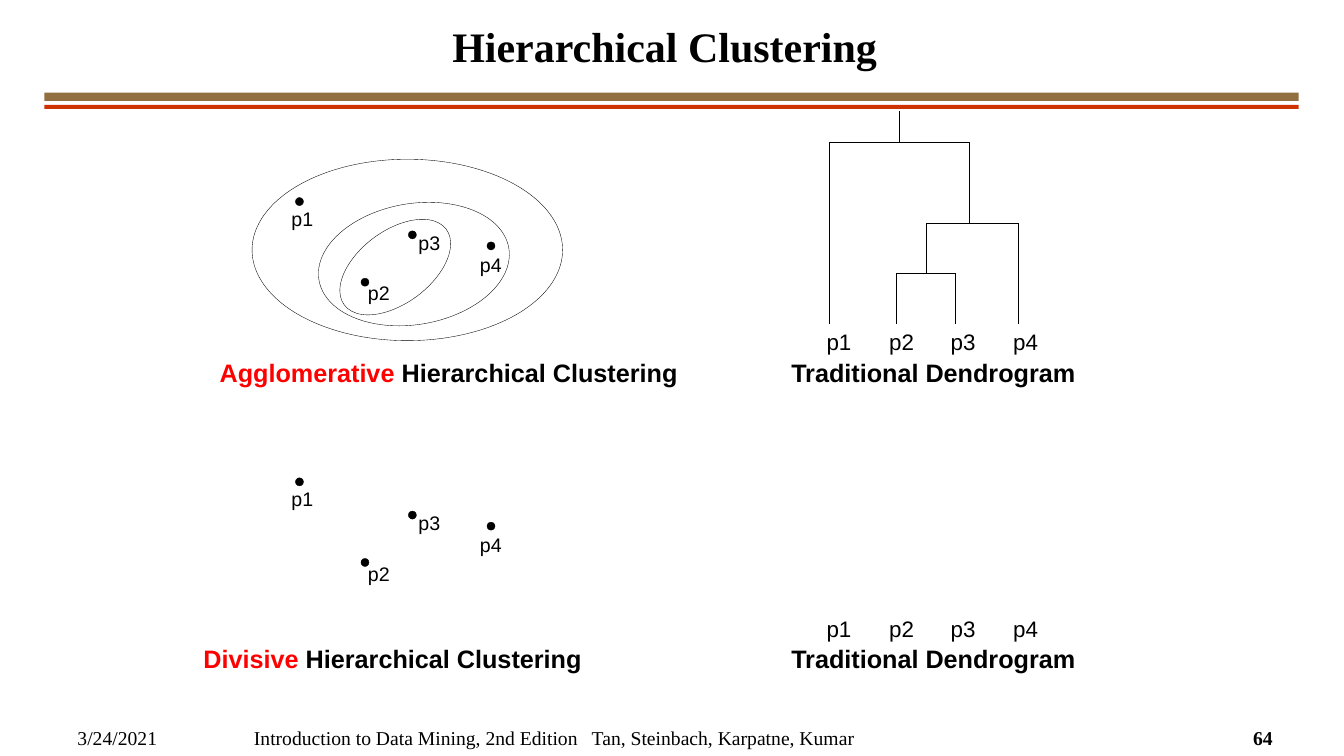
from pptx import Presentation
from pptx.dml.color import RGBColor
from pptx.enum.shapes import MSO_CONNECTOR, MSO_SHAPE
from pptx.enum.text import MSO_ANCHOR, PP_ALIGN
from pptx.oxml.ns import qn
from pptx.util import Pt
from lxml import etree

PIXEL = 9144
STRAIGHT = MSO_CONNECTOR.STRAIGHT
RECTANGLE, OVAL = MSO_SHAPE.RECTANGLE, MSO_SHAPE.OVAL
TOP, BOTTOM = MSO_ANCHOR.TOP, MSO_ANCHOR.BOTTOM
LEFT, CENTER = PP_ALIGN.LEFT, PP_ALIGN.CENTER
SANS, SERIF = "Arial", "Times New Roman"
BLACK, RED, BROWN, RUST = "000000", "FF0000", "916F40", "CC3300"


def px(*lengths):
    return [length * PIXEL for length in lengths]


def color(value):
    return RGBColor.from_string(value)


class SlideBuilder:
    """Holds the slide and its style, and adds each kind of element."""

    def __init__(self, page):
        self.page = page
        self.hairline = Pt(0.25)

    def shape(self, kind, area, fill=None, line=None, rotation=0):
        shape = self.page.shapes.add_shape(kind, *px(*area))
        shape.shadow.inherit = False
        shape.rotation = rotation
        if fill:
            shape.fill.solid()
            shape.fill.fore_color.rgb = color(fill)
        else:
            shape.fill.background()
        if line:
            shape.line.color.rgb = color(line)
            shape.line.width = self.hairline
        else:
            shape.line.fill.background()

    def line(self, start, end):
        line = self.page.shapes.add_connector(STRAIGHT, *px(*start, *end))
        line.line.color.rgb = color(BLACK)
        line.line.width = self.hairline
        properties = line._element.find(qn("p:spPr"))
        etree.SubElement(properties, qn("a:effectLst"))

    def text(self, area, spans, size, font=SANS, bold=False, align=LEFT,
             anchor=TOP, inset=True, tabs=(), spacing=None):
        box = self.page.shapes.add_textbox(*px(*area))
        frame = box.text_frame
        frame.word_wrap = True
        frame.vertical_anchor = anchor
        if not inset:
            frame.margin_left = frame.margin_right = 0
            frame.margin_top = frame.margin_bottom = 0
        para = frame.paragraphs[0]
        para.alignment = align
        if spacing:
            para.line_spacing = Pt(spacing)
        if tabs:
            stops = etree.SubElement(para._p.get_or_add_pPr(), qn("a:tabLst"))
            for position in px(*tabs):
                etree.SubElement(stops, qn("a:tab"), pos=str(position), algn="l")
        para.font.name = font
        para.font.size = Pt(size)
        para.font.bold = bold
        for words, ink in spans:
            span = para.add_run()
            span.text = words
            span.font.color.rgb = color(ink)

    def points(self, offset):
        points = {
            "p1": ((293, 196), (289, 205)),
            "p2": ((358, 276), (365, 279)),
            "p3": ((405, 229), (415, 229)),
            "p4": ((483, 240), (476, 251)),
        }
        for name, ((dot_x, dot_y), (label_x, label_y)) in points.items():
            self.shape(OVAL, (dot_x, dot_y + offset, 8, 8), BLACK, BLACK)
            self.text((label_x, label_y + offset, 26, 24), [(name, BLACK)], 14,
                      inset=False)

    def clustering(self, kind, left, caption_top, points_offset, leaves_top):
        self.points(points_offset)
        self.text((810, leaves_top, 233, 37), [("p1\tp2\tp3\tp4", BLACK)], 16,
                  tabs=(62, 123, 185))
        self.text((left, caption_top, 483, 40),
                  [(kind, RED), (" Hierarchical Clustering", BLACK)], 18, bold=True)
        self.text((775, caption_top, 367, 40),
                  [("Traditional Dendrogram", BLACK)], 18, bold=True)

    def merge(self, left, right, bar, left_bottom, right_bottom):
        self.line((left, bar), (right, bar))
        self.line((left, bar), (left, left_bottom))
        self.line((right, bar), (right, right_bottom))


def main():
    deck = Presentation()
    deck.slide_width, deck.slide_height = px(1333, 750)
    slide = SlideBuilder(deck.slides.add_slide(deck.slide_layouts[6]))

    slide.shape(RECTANGLE, (44, 92, 1244, 8), BROWN)
    slide.shape(RECTANGLE, (44, 104, 1244, 4), RUST)
    slide.text((56, 17, 1207, 58), [("Hierarchical Clustering", BLACK)], 30, SERIF,
               bold=True, align=CENTER, anchor=BOTTOM, spacing=36)

    slide.shape(OVAL, (356, 202, 72, 126), line=BLACK, rotation=53.4)
    slide.shape(OVAL, (315, 202, 191, 120), line=BLACK, rotation=350.4)
    slide.shape(OVAL, (250, 158, 308, 180), line=BLACK)

    leaf = 321
    slide.merge(889, 947, 271, leaf, leaf)
    slide.merge(919, 1010, 221, 271, leaf)
    slide.merge(822, 961, 141, leaf, 221)
    slide.line((892, 110), (892, 141))

    slide.clustering("Agglomerative", 208, 350, 0, leaf)
    slide.clustering("Divisive", 192, 633, 278, 605)

    slide.text((67, 715, 178, 34), [("3/24/2021", BLACK)], 14, SERIF)
    slide.text((242, 715, 711, 34),
               [("Introduction to Data Mining, 2nd Edition\t"
                 "Tan, Steinbach, Karpatne, Kumar", BLACK)],
               14, SERIF, tabs=(335,))
    slide.text((1233, 715, 44, 34), [("64", BLACK)], 14, SERIF, bold=True)

    deck.save("out.pptx")


if __name__ == "__main__":
    main()
